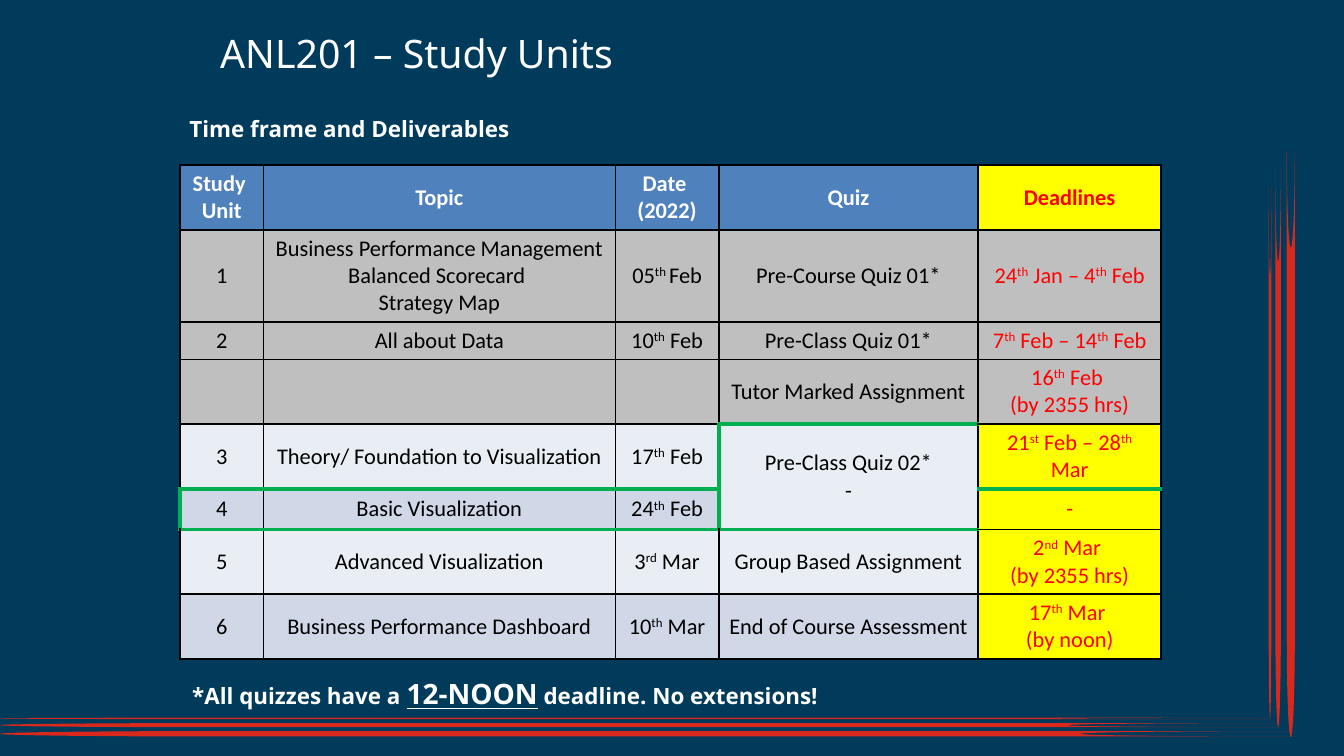
"""Build the ANL201 study units slide."""
from lxml.etree import SubElement
from pptx import Presentation
from pptx.dml.color import RGBColor
from pptx.enum.shapes import MSO_SHAPE
from pptx.enum.text import MSO_ANCHOR, PP_ALIGN
from pptx.oxml.ns import qn
from pptx.util import Pt

NAVY, RED_LINE, WHITE, BLACK = "003B5C", "DA291C", "FFFFFF", "000000"
BLUE, GREY, PALE, TINT = "4F81BD", "BFBFBF", "E9EDF4", "D0D8E8"
RED, YELLOW, GREEN = "FF0000", "FFFF00", "00B050"

STROKES = [
    (0, 384.5, 680.4, 0.8, 0),
    (0, 387.4, 686.2, 2.2, 0),
    (0, 391.7, 694.1, 2.9, 0),
    (537.8, 241.9, 285.1, 1.4, 270),
    (535, 238.3, 299.5, 2.9, 270),
    (534.2, 235.4, 314.6, 4.3, 270),
]
COLUMN_WIDTHS = [44.6, 188.6, 55.4, 139, 98]
ROW_HEIGHTS = [34, 49, 20, 34, 20, 20, 34, 34]
ROW_FILLS = [BLUE, GREY, GREY, GREY, PALE, TINT, PALE, TINT]
STUDY_UNITS = [
    ["Study \nUnit", "Topic", "Date \n(2022)", "Quiz", "Deadlines"],
    ["1", "Business Performance Management\nBalanced Scorecard \nStrategy Map",
     "05^th ^Feb", "Pre-Course Quiz 01*", "24^th^ Jan – 4^th^ Feb"],
    ["2", "All about Data", "10^th^ Feb", "Pre-Class Quiz 01*", "7^th^ Feb – 14^th^ Feb"],
    ["", "", "", "Tutor Marked Assignment", "16^th^ Feb \n(by 2355 hrs)"],
    ["3", "Theory/ Foundation to Visualization", "17^th^ Feb",
     "Pre-Class Quiz 02*\n-", "21^st^ Feb – 28^th^ Mar"],
    ["4", "Basic Visualization", "24^th^ Feb", "", "-"],
    ["5", "Advanced Visualization", "3^rd^ Mar", "Group Based Assignment",
     "2^nd^ Mar \n(by 2355 hrs)"],
    ["6", "Business Performance Dashboard", "10^th^ Mar", "End of Course Assessment",
     "17^th^ Mar \n(by noon)"],
]
GREEN_SIDES = {
    (3, 3): "B",
    (4, 0): "B", (4, 1): "B", (4, 2): "RB", (4, 3): "LTB", (4, 4): "B",
    (5, 0): "LTB", (5, 1): "TB", (5, 2): "TB", (5, 3): "LB", (5, 4): "T",
    (6, 0): "T", (6, 1): "T", (6, 2): "T", (6, 3): "T",
}
INSETS = {"margin_left": Pt(5), "margin_right": Pt(5),
          "margin_top": Pt(2.7), "margin_bottom": Pt(2.7)}
FRAME = {**INSETS, "word_wrap": True, "vertical_anchor": MSO_ANCHOR.TOP}


def color(value):
    """Turn a hex string into a colour."""
    return RGBColor.from_string(value)


def apply(target, values):
    """Set every attribute named in a dict of values."""
    for name, value in values.items():
        setattr(target, name, value)


class SlideBuilder:
    """Hold the style and the slide being built."""

    heading = {"name": "Noto Sans", "size": Pt(21), "bold": False}
    label = {"name": "Noto Sans", "size": Pt(12), "bold": True}
    table_text = {"name": "Calibri", "size": Pt(12)}

    def __init__(self, presentation):
        """Add a slide with a plain background."""
        self.slide = presentation.slides.add_slide(presentation.slide_layouts[1])
        self.slide.background.fill.solid()
        self.slide.background.fill.fore_color.rgb = color(NAVY)

    def run(self, paragraph, text, style, text_color):
        """Add one formatted run."""
        run = paragraph.add_run()
        run.text = text
        apply(run.font, style)
        run.font.color.rgb = color(text_color)
        return run

    def text(self, shape, box, parts, hanging=False):
        """Place a shape and write its line of runs."""
        apply(shape, dict(zip(("left", "top", "width", "height"), map(Pt, box))))
        apply(shape.text_frame, FRAME)
        paragraph = shape.text_frame.paragraphs[0]
        apply(paragraph, {"alignment": PP_ALIGN.LEFT, "space_before": Pt(0)})
        if hanging:
            properties = paragraph._p.get_or_add_pPr()
            properties.set("marL", str(Pt(20)))
            properties.set("indent", str(-Pt(20)))
            SubElement(properties, qn("a:buNone"))
        for text, style in parts:
            self.run(paragraph, text, style, WHITE)

    def stroke(self, left, top, width, height, rotation):
        """Add one thin decorative stroke."""
        shape = self.slide.shapes.add_shape(
            MSO_SHAPE.FLOWCHART_STORED_DATA, Pt(left), Pt(top), Pt(width), Pt(height))
        shape.rotation = rotation
        shape.shadow.inherit = False
        shape.fill.solid()
        shape.fill.fore_color.rgb = color(RED_LINE)
        shape.line.fill.background()

    def borders(self, cell, green_sides):
        """Draw the four borders of a cell."""
        properties = cell._tc.get_or_add_tcPr()
        for side in "LRTB":
            width, value = (2.25, GREEN) if side in green_sides else (1, BLACK)
            line = SubElement(properties, qn(f"a:ln{side}"), w=str(Pt(width)))
            fill = SubElement(line, qn("a:solidFill"))
            SubElement(fill, qn("a:srgbClr"), val=value)

    def cell(self, cell, text, fill, text_color, bold):
        """Fill a cell and write its lines, raising text between carets."""
        cell.fill.solid()
        cell.fill.fore_color.rgb = color(fill)
        for index, line in enumerate(text.split("\n")):
            frame = cell.text_frame
            paragraph = frame.add_paragraph() if index else frame.paragraphs[0]
            paragraph.alignment = PP_ALIGN.CENTER
            for position, part in enumerate(line.split("^")):
                if part:
                    run = self.run(paragraph, part, {**self.table_text, "bold": bold}, text_color)
                    if position % 2:
                        run.font._element.set("baseline", "30000")

    def table(self, left, top, rows):
        """Add the schedule table."""
        table = self.slide.shapes.add_table(
            len(rows), len(COLUMN_WIDTHS), Pt(left), Pt(top),
            Pt(sum(COLUMN_WIDTHS)), Pt(sum(ROW_HEIGHTS))).table
        table.horz_banding = False
        for column, width in zip(table.columns, COLUMN_WIDTHS):
            column.width = Pt(width)
        for row, height in zip(table.rows, ROW_HEIGHTS):
            row.height = Pt(height)
        table.cell(4, 3).merge(table.cell(5, 3))
        for row, texts in enumerate(rows):
            for column, text in enumerate(texts):
                cell = table.cell(row, column)
                deadline = column == 4
                fill = YELLOW if deadline and ROW_FILLS[row] != GREY else ROW_FILLS[row]
                text_color = RED if deadline else BLACK if row else WHITE
                if (row, column) != (5, 4):
                    apply(cell, {**INSETS, "vertical_anchor": MSO_ANCHOR.MIDDLE})
                self.borders(cell, GREEN_SIDES.get((row, column), ""))
                self.cell(cell, text, fill, text_color, row == 0)


def main():
    """Build and save the presentation."""
    presentation = Presentation()
    apply(presentation, {"slide_width": Pt(720), "slide_height": Pt(405)})
    builder = SlideBuilder(presentation)
    for stroke in STROKES:
        builder.stroke(*stroke)
    shapes = builder.slide.shapes
    builder.text(shapes.title, (113, 13, 446, 36),
                 [("ANL201 – Study Units", builder.heading)])
    builder.text(builder.slide.placeholders[1], (96.5, 59, 446, 18),
                 [("Time frame and Deliverables", builder.label)], hanging=True)
    builder.table(96.5, 88.5, STUDY_UNITS)
    emphasis = {**builder.label, "size": Pt(15), "underline": True}
    builder.text(shapes.add_textbox(0, 0, 0, 0), (98, 360, 446, 18),
                 [("*All quizzes have a ", builder.label), ("12-NOON", emphasis),
                  (" deadline. No extensions!", builder.label)], hanging=True)
    presentation.save("out.pptx")


if __name__ == "__main__":
    main()
